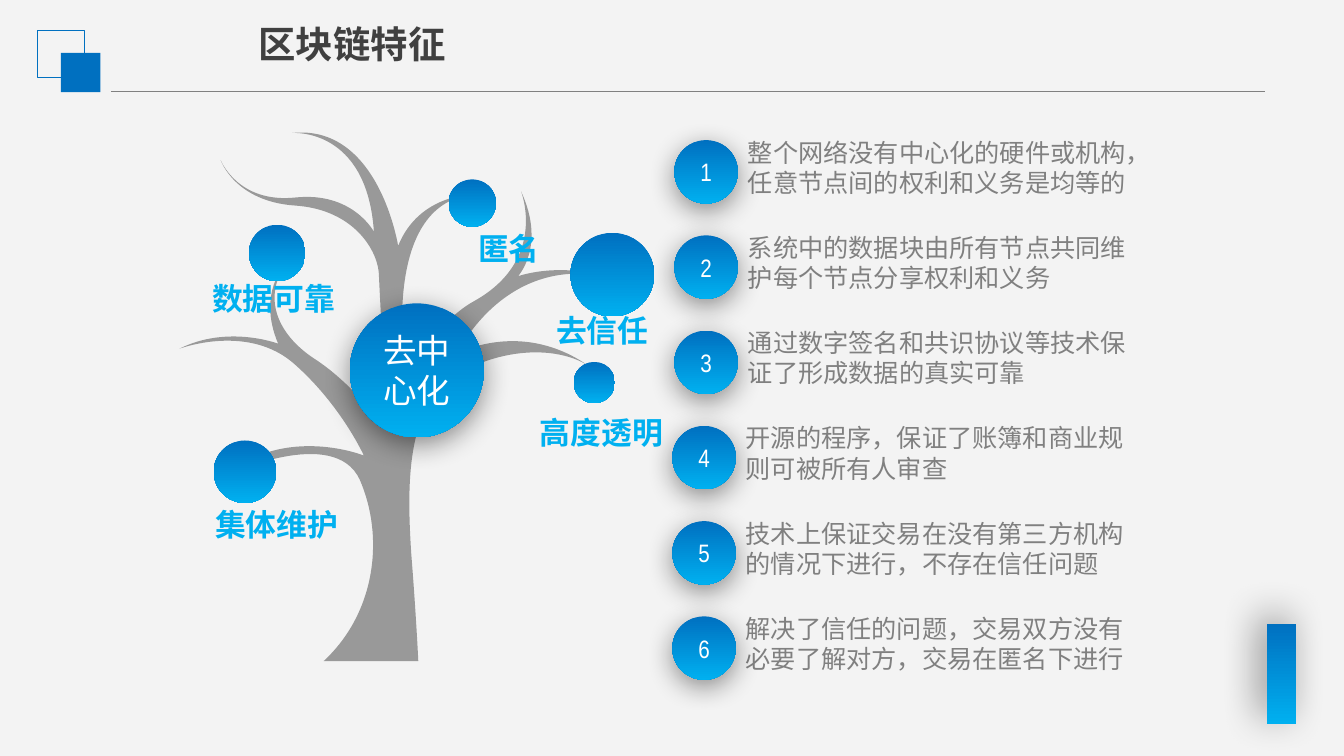
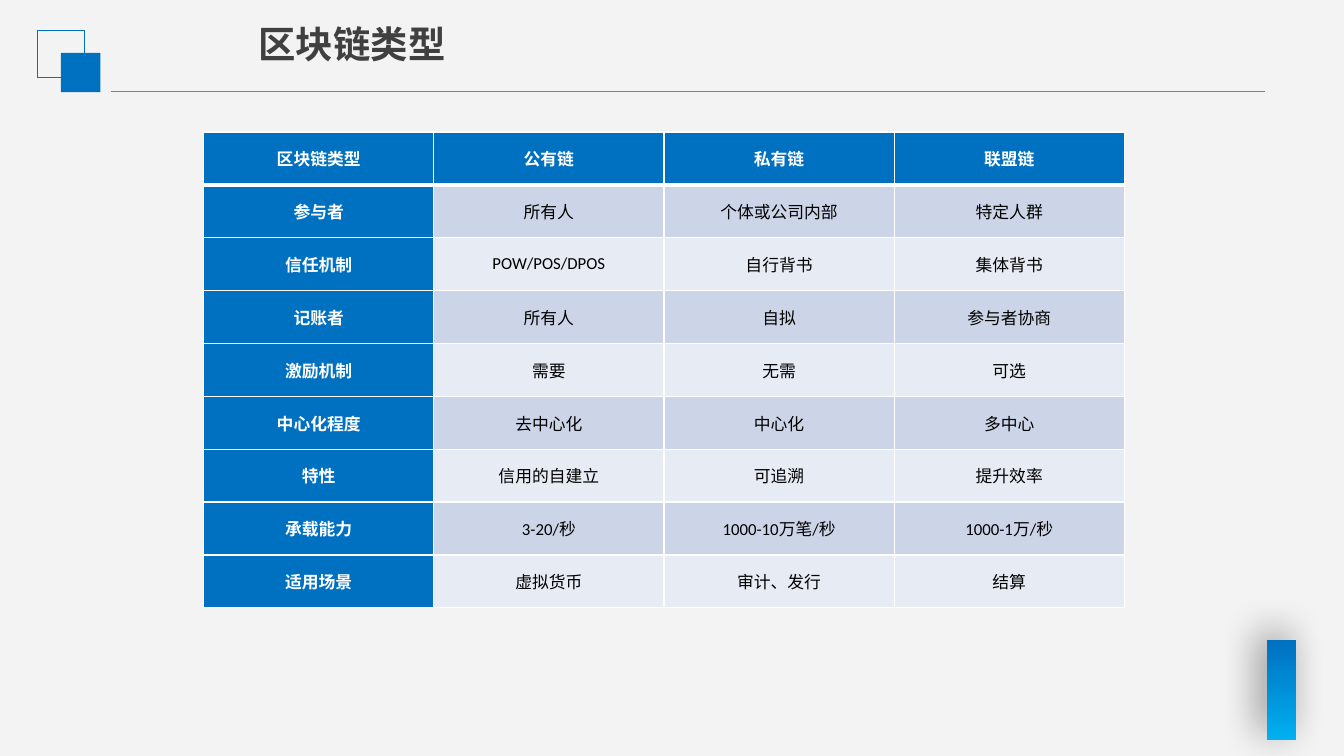
from lxml.etree import SubElement
from pptx import Presentation
from pptx.dml.color import RGBColor
from pptx.enum.shapes import MSO_CONNECTOR, MSO_SHAPE
from pptx.enum.text import MSO_ANCHOR, PP_ALIGN
from pptx.oxml.ns import qn
from pptx.util import Inches, Pt

BLUE = RGBColor(0x00, 0x70, 0xC0)
SKY = RGBColor(0x00, 0xB0, 0xF0)
DARK = RGBColor(0x40, 0x40, 0x40)
GRAY = RGBColor(0x80, 0x80, 0x80)
TREE_GRAY = RGBColor(0x99, 0x99, 0x99)
PALE = RGBColor(0xF3, 0xF3, 0xF3)
WHITE = RGBColor(0xFF, 0xFF, 0xFF)
BLACK = RGBColor(0x00, 0x00, 0x00)
BANDS = [RGBColor(0xCC, 0xD5, 0xE8), RGBColor(0xE7, 0xEB, 0xF4)]

CJK = "Noto Sans CJK SC"
CELL = Inches(0.1)
COLUMNS, ROWS = 133.33, 75


def cells(*counts):
    return [round(count * CELL) for count in counts]


def add_gradient_shape(slide, kind, frame, shadow=None):
    shape = slide.shapes.add_shape(kind, *cells(*frame))
    shape.fill.gradient()
    shape.fill.gradient_angle = 270
    for stop, color in zip(shape.fill.gradient_stops, (BLUE, SKY)):
        stop.color.rgb = color
    shape.line.fill.background()
    shape.shadow.inherit = False
    if shadow:
        opacity, blur, distance, direction = shadow
        effects = shape._element.spPr.find(qn("a:effectLst"))
        outer = SubElement(effects, qn("a:outerShdw"), blurRad=str(Pt(blur)),
                           dist=str(Pt(distance)), dir=str(direction * 60000),
                           algn="ctr", rotWithShape="0")
        color = SubElement(outer, qn("a:srgbClr"), val="000000")
        SubElement(color, qn("a:alpha"), val=str(opacity * 1000))
    return shape


presentation = Presentation()
presentation.slide_width, presentation.slide_height = cells(COLUMNS, ROWS)

slides = []
for title, bar_top in [("区块链特征", 61.9), ("区块链类型", 63.5)]:
    slide = presentation.slides.add_slide(presentation.slide_layouts[6])
    slides.append(slide)
    slide.background.fill.solid()
    slide.background.fill.fore_color.rgb = PALE

    rule = slide.shapes.add_connector(MSO_CONNECTOR.STRAIGHT, *cells(11, 9.1, 125.5, 9.1))
    rule.line.color.rgb = GRAY
    rule.line.width = Pt(0.75)
    SubElement(rule._element.spPr, qn("a:effectLst"))

    outline = slide.shapes.add_shape(MSO_SHAPE.RECTANGLE, *cells(3.7, 3, 4.7, 4.7))
    outline.fill.background()
    outline.line.color.rgb = BLUE
    outline.line.width = Pt(1)
    outline.shadow.inherit = False

    square = slide.shapes.add_shape(MSO_SHAPE.RECTANGLE, *cells(6.05, 5.25, 3.9, 3.9))
    square.fill.solid()
    square.fill.fore_color.rgb = BLUE
    square.line.fill.background()
    square.shadow.inherit = False

    heading = slide.shapes.add_textbox(*cells(24.65, 1.6, 20.7, 5.5))
    paragraph = heading.text_frame.paragraphs[0]
    paragraph.text = title
    paragraph.font.name = CJK
    paragraph.font.size = Pt(26.7)
    paragraph.font.bold = True
    paragraph.font.color.rgb = DARK

    add_gradient_shape(slide, MSO_SHAPE.RECTANGLE, (125.7, bar_top, 2.9, 9.9), (40, 28, 8, 225))

features, types = slides

TREE_START = (32.1, 65.6)
TREE_CURVES = [
    (41.5, 65.6, 41.5, 65.6, 41.5, 65.6),
    (41.5, 65.6, 41.3, 61.2, 40.8, 54.9),
    (40.4, 48.6, 40.2, 40.5, 45, 37.4),
    (49.9, 34.2, 56.8, 34.1, 59.7, 37.4),
    (59.7, 37.4, 54, 31.4, 45.4, 35),
    (45.4, 35, 50.3, 24.7, 61.2, 27.7),
    (61.2, 27.7, 56.3, 25.9, 51.4, 27.4),
    (51.4, 27.4, 54.2, 24.4, 51.7, 19),
    (51.7, 19, 54.4, 25.8, 47, 29.9),
    (43.2, 32, 40.3, 37.4, 40.3, 37.4),
    (40.3, 37.4, 37.4, 20.2, 47, 19.3),
    (47, 19.3, 41.6, 19.2, 39.5, 24.4),
    (39.5, 24.4, 37.6, 12.3, 29, 13.2),
    (29, 13.2, 36.4, 12.6, 37.1, 23),
    (37.1, 23, 35, 19, 29.3, 19.6),
    (23.6, 20.2, 21.9, 15.9, 21.9, 15.9),
    (21.9, 15.9, 23.3, 20, 29.3, 20.4),
    (35.2, 20.8, 37.6, 25, 37.6, 27.4),
    (37.7, 29.7, 38.4, 42.7, 38.4, 42.7),
    (38.4, 42.7, 35.1, 38.1, 31.2, 35.6),
    (27.4, 33.1, 26, 29.4, 28.5, 26),
    (28.5, 26, 25.4, 28.9, 27.6, 34.1),
    (27.6, 34.1, 22.6, 32.2, 17.8, 34.6),
    (17.8, 34.6, 24.7, 32, 29.3, 36.2),
    (33.9, 40.3, 36.1, 45.2, 36.1, 45.2),
    (36.1, 45.2, 28.4, 42.1, 22.3, 47.2),
    (22.3, 47.2, 33.2, 42.1, 35.7, 47.6),
    (38.1, 53.1, 37.4, 60.7, 32.1, 65.6),
]
builder = features.shapes.build_freeform(*cells(*TREE_START))
for curve in TREE_CURVES:
    builder.add_line_segments([cells(*curve[i:i + 2]) for i in (0, 2, 4)], close=False)
tree = builder.convert_to_shape()
outline_path = next(tree._element.iter(qn("a:path")))
segments = outline_path.findall(qn("a:lnTo"))
for index in range(0, len(segments), 3):
    bezier = SubElement(outline_path, qn("a:cubicBezTo"))
    for segment in segments[index:index + 3]:
        bezier.append(segment[0])
        outline_path.remove(segment)
SubElement(outline_path, qn("a:close"))
tree.fill.solid()
tree.fill.fore_color.rgb = TREE_GRAY
tree.line.fill.background()
tree.shadow.inherit = False

FRUITS = [
    ("数据可靠", (19.4, 27.3, 15.5), (24.7, 22.3, 5.6)),
    ("匿名", (44.1, 22.3, 12.8), (44.5, 17.8, 4.7)),
    ("去信任", (52.7, 30.4, 14.1), (56.6, 23.1, 8.3)),
    ("高度透明", (51.9, 40.6, 15.5), (56.9, 35.9, 4.1)),
    ("集体维护", (20.2, 49.7, 14.5), (21.2, 43.7, 6.2)),
]
for name, label_frame, (left, top, diameter) in FRUITS:
    label = features.shapes.add_textbox(*cells(*label_frame, 3.6))
    label.text_frame.word_wrap = True
    paragraph = label.text_frame.paragraphs[0]
    paragraph.text = name
    paragraph.alignment = PP_ALIGN.CENTER
    paragraph.font.name = CJK
    paragraph.font.size = Pt(22)
    paragraph.font.bold = True
    paragraph.font.color.rgb = SKY
    add_gradient_shape(features, MSO_SHAPE.OVAL, (left, top, diameter, diameter))

STATEMENTS = [
    "整个网络没有中心化的硬件或机构，任意节点间的权利和义务是均等的",
    "系统中的数据块由所有节点共同维护每个节点分享权利和义务",
    "通过数字签名和共识协议等技术保证了形成数据的真实可靠",
    "开源的程序，保证了账簿和商业规则可被所有人审查",
    "技术上保证交易在没有第三方机构的情况下进行，不存在信任问题",
    "解决了信任的问题，交易双方没有必要了解对方，交易在匿名下进行",
]
STATEMENT_WIDTHS = [41.5, 39.9, 41.5, 40.9, 41.7, 40.2]
BADGE, PITCH = 6.3, 9.45
badges = [("去中心化", 34.7, 30.1, 13.3, CJK, 24)]
for index, (statement, width) in enumerate(zip(STATEMENTS, STATEMENT_WIDTHS)):
    left = 66.9 if index < 3 else 66.7
    top = 13.9 + index * PITCH
    badges.append((str(index + 1), left, top, BADGE, "Arial Narrow", 18))
    body = features.shapes.add_textbox(*cells(left + BADGE, top - 0.8, width, 8.7))
    body.text_frame.word_wrap = True
    paragraph = body.text_frame.paragraphs[0]
    paragraph.text = statement
    paragraph.font.name = "Arial"
    paragraph.font.size = Pt(18)
    paragraph.font.color.rgb = GRAY

for text, left, top, diameter, font_name, size in badges:
    badge = add_gradient_shape(features, MSO_SHAPE.OVAL, (left, top, diameter, diameter), (43, 20, 5, 90))
    badge.text_frame.word_wrap = True
    badge.text_frame.vertical_anchor = MSO_ANCHOR.MIDDLE
    paragraph = badge.text_frame.paragraphs[0]
    paragraph.text = text
    paragraph.alignment = PP_ALIGN.CENTER
    paragraph.font.name = font_name
    paragraph.font.size = Pt(size)
    paragraph.font.color.rgb = WHITE

CHAIN_TYPES = [
    ("区块链类型", "公有链", "私有链", "联盟链"),
    ("参与者", "所有人", "个体或公司内部", "特定人群"),
    ("信任机制", "POW/POS/DPOS", "自行背书", "集体背书"),
    ("记账者", "所有人", "自拟", "参与者协商"),
    ("激励机制", "需要", "无需", "可选"),
    ("中心化程度", "去中心化", "中心化", "多中心"),
    ("特性", "信用的自建立", "可追溯", "提升效率"),
    ("承载能力", "3-20/秒", "1000-10万笔/秒", "1000-1万/秒"),
    ("适用场景", "虚拟货币", "审计、发行", "结算"),
]
table = types.shapes.add_table(len(CHAIN_TYPES), len(CHAIN_TYPES[0]), *cells(20.2, 13.1, 91.35, 47.2)).table
for row, texts in enumerate(CHAIN_TYPES):
    for column, text in enumerate(texts):
        is_header = row == 0 or column == 0
        cell = table.cell(row, column)
        cell.vertical_anchor = MSO_ANCHOR.MIDDLE
        cell.margin_left, cell.margin_right = cells(0.7, 0.7)
        cell.margin_top = cell.margin_bottom = 0
        properties = cell._tc.get_or_add_tcPr()
        top_width = 3 if row == 1 else 1
        bottom_width = 3 if row == 0 else 1
        for side, width in (("lnL", 1), ("lnR", 1), ("lnT", top_width), ("lnB", bottom_width)):
            border = SubElement(properties, qn(f"a:{side}"), w=str(Pt(width)))
            paint = SubElement(border, qn("a:solidFill"))
            SubElement(paint, qn("a:srgbClr"), val=str(WHITE))
        cell.fill.solid()
        cell.fill.fore_color.rgb = BLUE if is_header else BANDS[(row - 1) % 2]
        paragraph = cell.text_frame.paragraphs[0]
        paragraph.text = text
        paragraph.alignment = PP_ALIGN.CENTER
        paragraph.font.name = "Calibri"
        paragraph.font.size = Pt(12)
        paragraph.font.bold = is_header
        paragraph.font.color.rgb = WHITE if is_header else BLACK

presentation.save("out.pptx")
